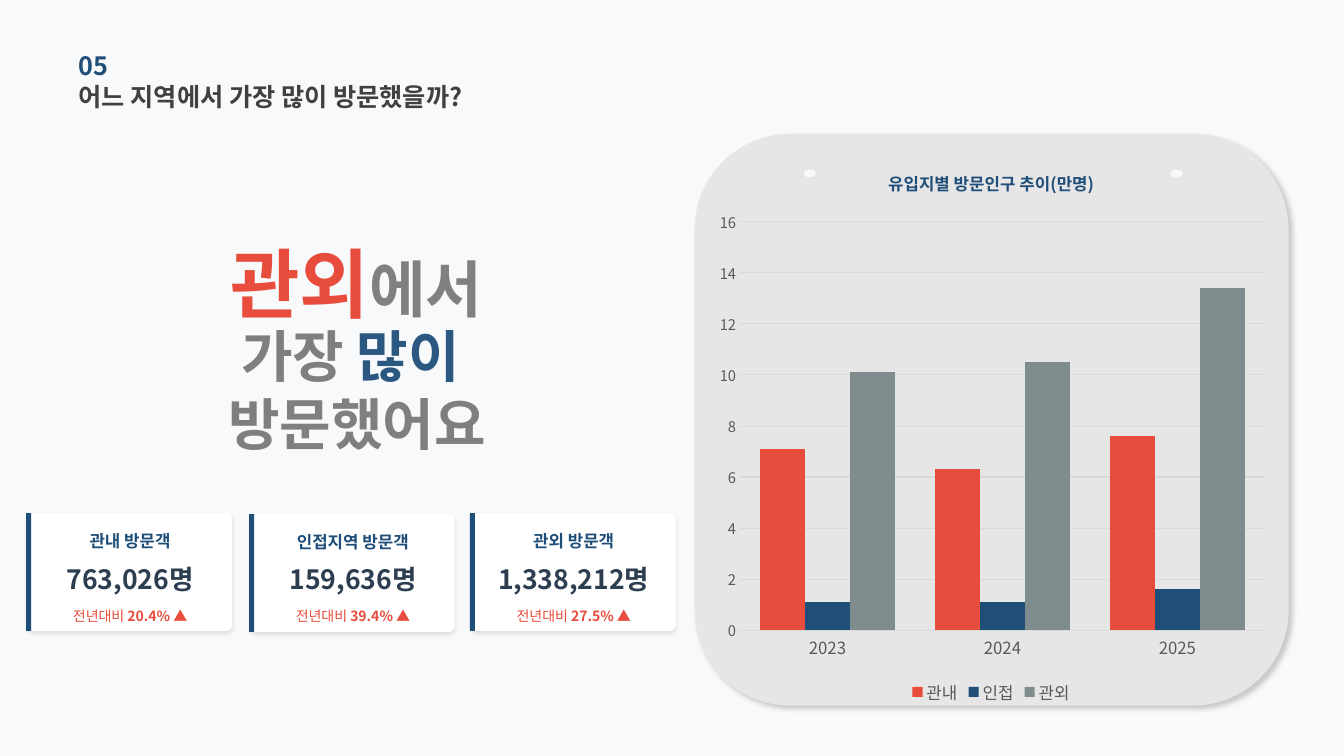
from lxml.etree import SubElement
from pptx import Presentation
from pptx.chart.data import CategoryChartData
from pptx.dml.color import RGBColor
from pptx.enum.chart import XL_CHART_TYPE as ChartType, XL_LEGEND_POSITION as LegendPos
from pptx.enum.chart import XL_TICK_MARK as Tick
from pptx.enum.shapes import MSO_SHAPE as Shape
from pptx.enum.text import MSO_ANCHOR as Anchor, MSO_AUTO_SIZE as AutoSize, PP_ALIGN as Align
from pptx.oxml.ns import qn
from pptx.util import Inches, Pt

FONT = "Noto Sans CJK KR"
COLORS = {
    "back": "F8F9FA", "panel": "E7E6E6", "card": "FFFFFF", "navy": "1F4E79",
    "red": "E74C3C", "slate": "7F8C8D", "ink": "2C3E50", "heading": "404040",
    "gray": "808080", "midgray": "7F7F7F", "blue": "2B5880",
    "axis": "595959", "grid": "D9D9D9", "black": "000000",
}


class VisitorSlide:
    """Draws the elements of one slide in a shared style."""

    def __init__(self, deck):
        self.slide = deck.slides.add_slide(deck.slide_layouts[5])
        self.shapes = self.slide.shapes
        self.paint(self.slide.background.fill, "back")

    def paint(self, fill, color):
        fill.solid()
        fill.fore_color.rgb = RGBColor.from_string(COLORS[color])

    def style(self, font, size, color, bold=False):
        font.name, font.size, font.bold = FONT, Pt(size), bold
        font.color.rgb = RGBColor.from_string(COLORS[color])

    def rule(self, line, color="grid"):
        line.color.rgb = RGBColor.from_string(COLORS[color])
        line.width = Pt(0.75)

    def add_east_asian(self, element):
        for latin in list(element.iter(qn("a:latin"))):
            east_asian = latin.makeelement(qn("a:ea"), {"typeface": FONT})
            latin.addnext(east_asian)

    def block(self, kind, box, color, corner=None, shadow=None):
        block = self.shapes.add_shape(kind, *map(Inches, box))
        self.paint(block.fill, color)
        block.line.fill.background()
        block.shadow.inherit = False
        if corner is not None:
            block.adjustments[0] = corner
        if shadow:
            alpha, blur, distance, angle = shadow
            effects = next(block.element.iter(qn("a:effectLst")))
            outer = SubElement(effects, qn("a:outerShdw"), blurRad=str(Pt(blur)),
                               dist=str(Pt(distance)), dir=str(angle * 60000),
                               algn="ctr", rotWithShape="0")
            shade = SubElement(outer, qn("a:srgbClr"), val=COLORS["black"])
            SubElement(shade, qn("a:alpha"), val=str(alpha * 1000))

    def fill_text(self, holder, lines, align):
        frame = holder.text_frame
        frame.word_wrap = True
        frame.auto_size = AutoSize.NONE
        frame.vertical_anchor = Anchor.MIDDLE
        frame.margin_left = frame.margin_right = frame.margin_top = frame.margin_bottom = 0
        for index, runs in enumerate(lines):
            paragraph = frame.add_paragraph() if index else frame.paragraphs[0]
            paragraph.alignment = align
            for words, size, color, bold in runs:
                run = paragraph.add_run()
                run.text = words
                self.style(run.font, size, color, bold)
        self.add_east_asian(holder.element)

    def text(self, box, *lines, align=Align.CENTER):
        self.fill_text(self.shapes.add_textbox(*map(Inches, box)), lines, align)

    def title(self, box, words):
        title = self.shapes.title
        title.left, title.top, title.width, title.height = map(Inches, box)
        self.fill_text(title, [[(words, 18, "heading", True)]], Align.LEFT)

    def card(self, left, top, label, count, change):
        self.block(Shape.ROUNDED_RECTANGLE, (left, top, 2.02, 1.17), "card",
                   0.048, (10, 3, 2, 90))
        self.text((left + 0.41, top + 0.16, 1.2, 0.22), [(label, 12, "navy", True)])
        self.text((left, 5.57, 2.02, 0.34), [(count, 19, "ink", True)])
        self.text((left, 6.01, 2.02, 0.2),
                  [("전년대비 ", 10, "red", False), (change, 10, "red", True)])
        self.block(Shape.RECTANGLE, (left - 0.02, top, 0.05, 1.17), "navy")

    def chart(self, box, heading, years, series):
        data = CategoryChartData()
        data.categories = years
        for name, values, _ in series:
            data.add_series(name, values)
        chart = self.shapes.add_chart(ChartType.COLUMN_CLUSTERED, *map(Inches, box), data).chart
        self.style(chart.font, 10, "black")
        chart.has_title = True
        run = chart.chart_title.text_frame.paragraphs[0].add_run()
        run.text = heading
        self.style(run.font, 12, "navy", True)
        chart.has_legend = True
        chart.legend.position = LegendPos.BOTTOM
        chart.legend.include_in_layout = False
        self.style(chart.legend.font, 12, "axis")

        for axis, size in ((chart.category_axis, 12), (chart.value_axis, 10.5)):
            axis.major_tick_mark = axis.minor_tick_mark = Tick.NONE
            self.style(axis.tick_labels.font, size, "axis")
        self.rule(chart.category_axis.format.line)
        values_axis = chart.value_axis
        values_axis.minimum_scale, values_axis.maximum_scale, values_axis.major_unit = 0, 16, 2
        values_axis.format.line.fill.background()
        self.rule(values_axis.major_gridlines.format.line)

        plot = chart.plots[0]
        plot.gap_width, plot.overlap, plot.vary_by_categories = 90, 0, False
        for bars, (_, _, color) in zip(plot.series, series):
            self.paint(bars.format.fill, color)
        self.place_plot(chart.element, {"x": 0.06, "y": 0.13, "w": 0.92, "h": 0.73})
        self.add_east_asian(chart.element)

    def place_plot(self, element, fractions):
        area = next(element.iter(qn("c:plotArea")))
        for old in area.findall(qn("c:layout")):
            area.remove(old)
        layout = area.makeelement(qn("c:layout"), {})
        area.insert(0, layout)
        manual = SubElement(layout, qn("c:manualLayout"))
        SubElement(manual, qn("c:layoutTarget"), val="inner")
        for side in "xy":
            SubElement(manual, qn(f"c:{side}Mode"), val="edge")
        for side, fraction in fractions.items():
            SubElement(manual, qn(f"c:{side}"), val=str(fraction))


def main():
    deck = Presentation()
    deck.slide_width, deck.slide_height = Inches(13.33), Inches(7.5)
    page = VisitorSlide(deck)

    page.block(Shape.ROUNDED_RECTANGLE, (6.89, 1.33, 5.89, 5.67), "panel",
               shadow=(20, 4, 3, 45))
    page.title((0.78, 0.75, 5.28, 0.41), "어느 지역에서 가장 많이 방문했을까?")
    page.text((0.78, 0.44, 4.52, 0.41), [("05", 18, "navy", True)], align=Align.LEFT)
    for pin_left in (7.97, 11.61):
        page.block(Shape.OVAL, (pin_left, 1.68, 0.12, 0.08), "back")

    page.text((1.39, 2.56, 4.29, 0.48),
              [("관외", 54, "red", True), ("에서", 44, "gray", True)])
    page.text((0.78, 3.44, 5.52, 0.84),
              [("가장", 40, "midgray", True), (" 많이 ", 40, "blue", True)],
              [("방문했어요", 40, "midgray", True)])

    page.card(0.28, 5.09, "관내 방문객", "763,026명", "20.4% ▲")
    page.card(2.49, 5.1, "인접지역 방문객", "159,636명", "39.4% ▲")
    page.card(4.68, 5.09, "관외 방문객", "1,338,212명", "27.5% ▲")

    page.chart((7, 1.48, 5.66, 5.55), "유입지별 방문인구 추이(만명)",
               ["2023", "2024", "2025"],
               [("관내", (7.1, 6.3, 7.6), "red"),
                ("인접", (1.1, 1.1, 1.6), "navy"),
                ("관외", (10.1, 10.5, 13.4), "slate")])
    deck.save("out.pptx")


if __name__ == "__main__":
    main()
